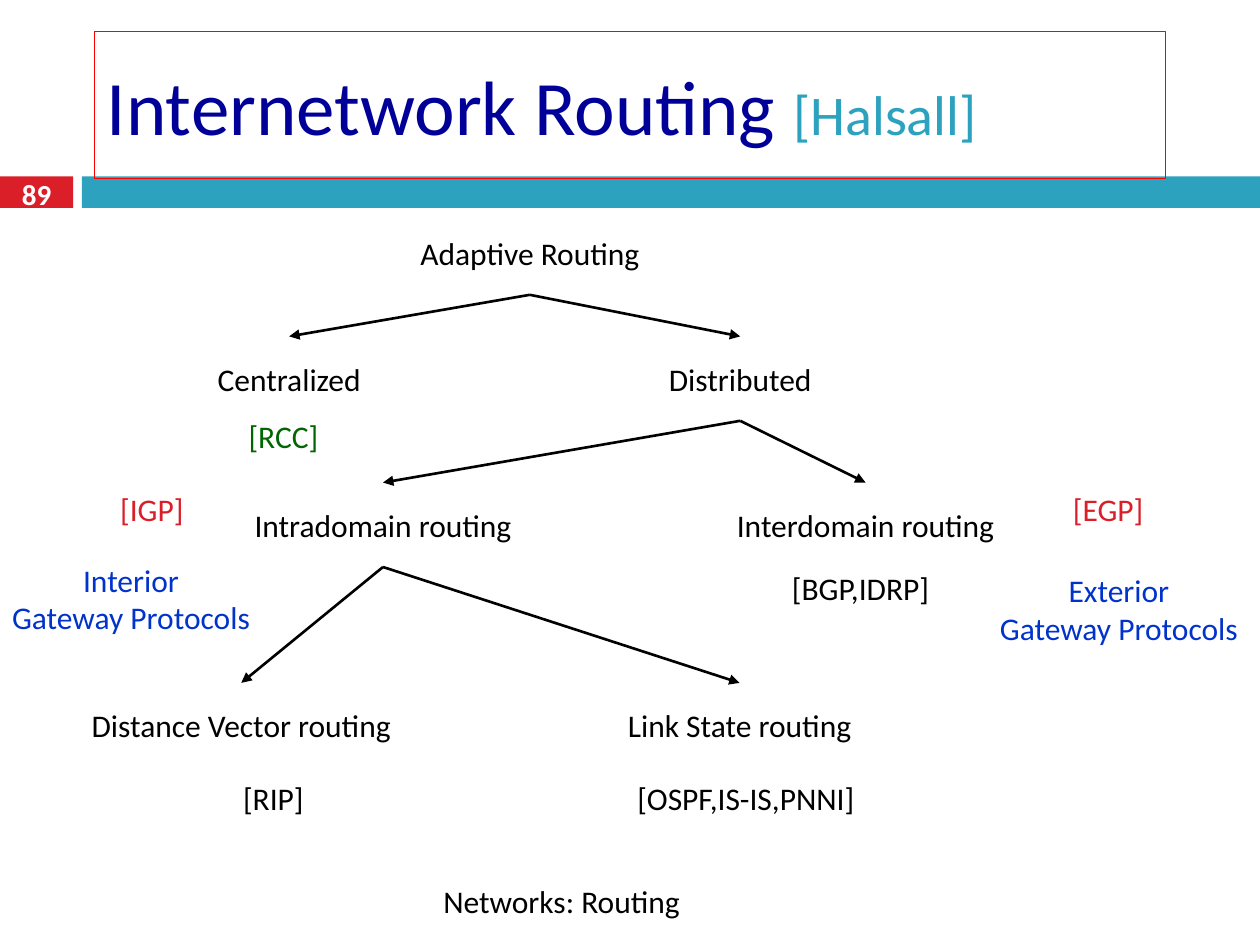
from lxml import etree
from pptx import Presentation
from pptx.dml.color import RGBColor
from pptx.enum.shapes import MSO_CONNECTOR, MSO_SHAPE
from pptx.enum.text import MSO_ANCHOR, PP_ALIGN
from pptx.oxml.ns import qn
from pptx.util import Inches, Pt

RECTANGLE = MSO_SHAPE.RECTANGLE
STRAIGHT = MSO_CONNECTOR.STRAIGHT
TOP, MIDDLE = MSO_ANCHOR.TOP, MSO_ANCHOR.MIDDLE
LEFT, CENTER = PP_ALIGN.LEFT, PP_ALIGN.CENTER

FONT = "Calibri"
BLACK, WHITE, RED, TEAL = "000000", "FFFFFF", "DA1F28", "2DA2BF"
NAVY, GREEN, BLUE, FRAME_RED = "000099", "006600", "0033CC", "FF0000"

NODES = {
    "Adaptive Routing": (2.83, 1.67, 2.75, 0.67),
    "Centralized": (0.92, 2.67, 2.75, 0.67),
    "Distributed": (4.5, 2.67, 2.75, 0.67),
    "Intradomain routing": (1.5, 3.83, 3.08, 0.67),
    "Interdomain routing": (5.33, 3.83, 3.08, 0.67),
    "Distance Vector routing": (0.25, 5.42, 3.33, 0.67),
    "Link State routing": (4.33, 5.42, 3.08, 0.67),
}
BRANCHES = {
    "Adaptive Routing": ("Centralized", "Distributed"),
    "Distributed": ("Interdomain routing", "Intradomain routing"),
    "Intradomain routing": ("Distance Vector routing", "Link State routing"),
}
NOTES = [
    ("[IGP]", RED, (0.83, 3.75, 0.75, 0.58)),
    ("[EGP]", RED, (8.42, 3.75, 0.75, 0.58)),
    ("[BGP,IDRP]", BLACK, (5.83, 4.42, 2, 0.5)),
    ("[OSPF,IS-IS,PNNI]", BLACK, (4.42, 6.08, 3, 0.5)),
    ("[RIP]", BLACK, (1.67, 6.08, 1, 0.5)),
    ("[RCC]", GREEN, (1.75, 3.25, 1, 0.42)),
    ("Interior\nGateway Protocols", BLUE, (0.08, 4.5, 1.92, 0.5)),
    ("Exterior\nGateway Protocols", BLUE, (7.92, 4.5, 1.92, 0.67)),
]


def color(hex_string):
    """Turn a hex string into a colour."""
    return RGBColor.from_string(hex_string)


def style_span(span, size, ink, bold=False):
    """Set the font of one run."""
    span.font.name = FONT
    span.font.size = Pt(size)
    span.font.bold = bold
    span.font.color.rgb = color(ink)


def add_box(page, area, fill=None, line=None, width=0.75):
    """Add a rectangle with an optional fill and outline."""
    box = page.shapes.add_shape(RECTANGLE, *map(Inches, area))
    box.shadow.inherit = False
    if fill:
        box.fill.solid()
        box.fill.fore_color.rgb = color(fill)
    else:
        box.fill.background()
    if line:
        box.line.color.rgb = color(line)
        box.line.width = Pt(width)
    else:
        box.line.fill.background()
    return box


def write(box, text, size, ink, align=CENTER, anchor=MIDDLE, wrap=True, bold=False):
    """Fill a box with text in one style."""
    frame = box.text_frame
    frame.text = text
    frame.word_wrap = wrap
    frame.vertical_anchor = anchor
    for para in frame.paragraphs:
        para.alignment = align
        for span in para.runs:
            style_span(span, size, ink, bold)


def add_label(page, area, text, ink, width):
    """Add a white box with centred text."""
    box = add_box(page, area, WHITE, WHITE, width)
    write(box, text, 18, ink, wrap=False)


def add_arrow(page, start, end):
    """Draw a black arrow between two points."""
    arrow = page.shapes.add_connector(STRAIGHT, *map(Inches, start + end))
    arrow.line.color.rgb = color(BLACK)
    arrow.line.width = Pt(1.5)
    line = arrow.line._get_or_add_ln()
    etree.SubElement(line, qn("a:tailEnd"), type="triangle")
    etree.SubElement(arrow._element.spPr, qn("a:effectLst"))


def add_band(page, top, height, split, gap, number):
    """Draw the coloured band with the page number."""
    add_box(page, (0, top, split, height), RED)
    start = split + gap
    add_box(page, (start, top, 10 - start, height), TEAL)
    box = page.shapes.add_textbox(*map(Inches, (0, top - 0.03, split, height + 0.08)))
    write(box, number, 16.6, WHITE, bold=True)


def add_footer(page, area):
    """Add the footer text."""
    box = page.shapes.add_textbox(*map(Inches, area))
    write(box, "Networks: Routing", 18, BLACK, LEFT, TOP)


def add_title(page, area):
    """Add the framed title with its source."""
    box = add_box(page, area, line=FRAME_RED)
    write(box, "Internetwork Routing ", 44, NAVY, LEFT)
    span = box.text_frame.paragraphs[0].add_run()
    span.text = "[Halsall]"
    style_span(span, 32, TEAL)


def add_tree(page, nodes, branches):
    """Draw the routing tree with arrows from parents to children."""
    for text, area in nodes.items():
        add_label(page, area, text, BLACK, 0.75)
    for parent, children in branches.items():
        left, top, width, height = nodes[parent]
        start = (left + width / 2, top + height)
        for child in children:
            left_child, top_child, width_child, _ = nodes[child]
            add_arrow(page, start, (left_child + width_child / 2, top_child))


def add_notes(page, notes):
    """Place the protocol names beside the tree."""
    for text, ink, area in notes:
        add_label(page, area, text, ink, 1.5)


def main():
    """Build and save the slide."""
    deck = Presentation()
    deck.slide_width, deck.slide_height = Inches(10), Inches(7.5)
    page = deck.slides.add_slide(deck.slide_layouts[6])
    add_band(page, 1.4, 0.25, 0.58, 0.07, "89")
    add_footer(page, (3.42, 6.95, 3.17, 0.4))
    add_title(page, (0.75, 0.25, 8.5, 1.17))
    add_tree(page, NODES, BRANCHES)
    add_notes(page, NOTES)
    deck.save("out.pptx")


if __name__ == "__main__":
    main()
